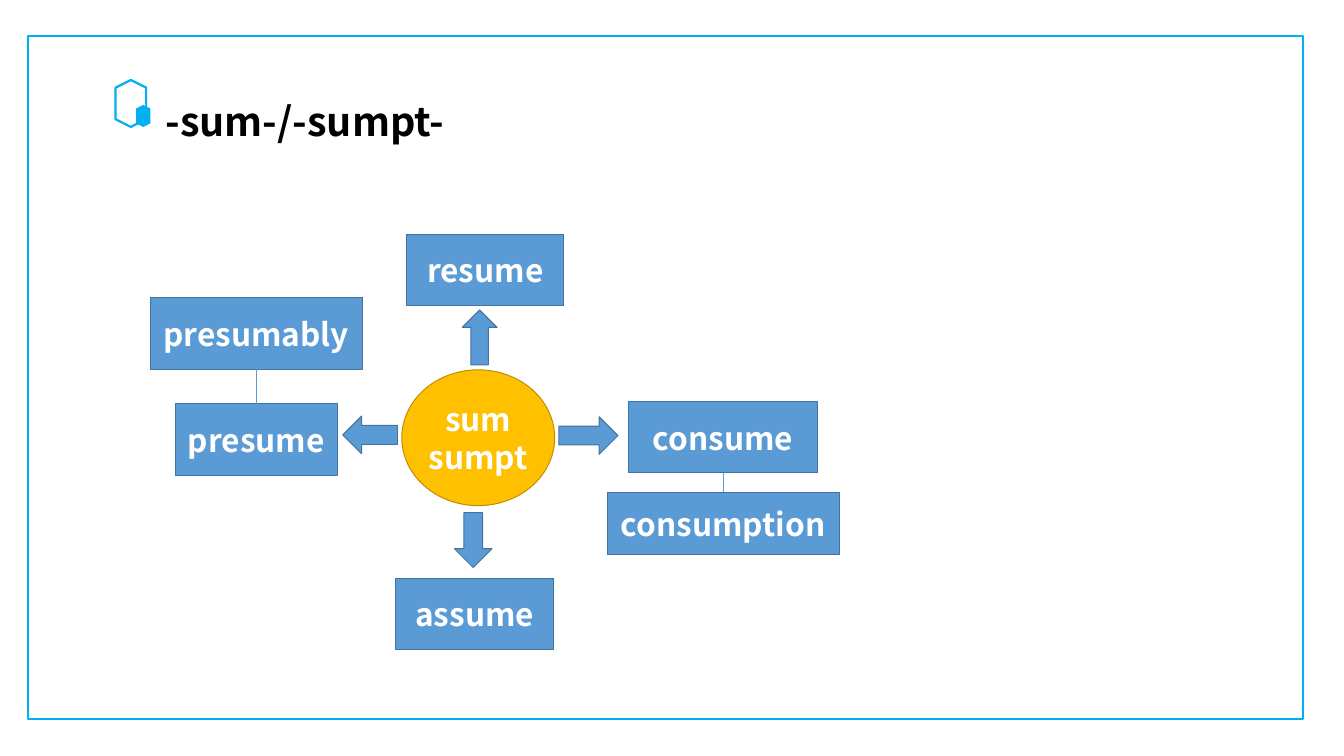
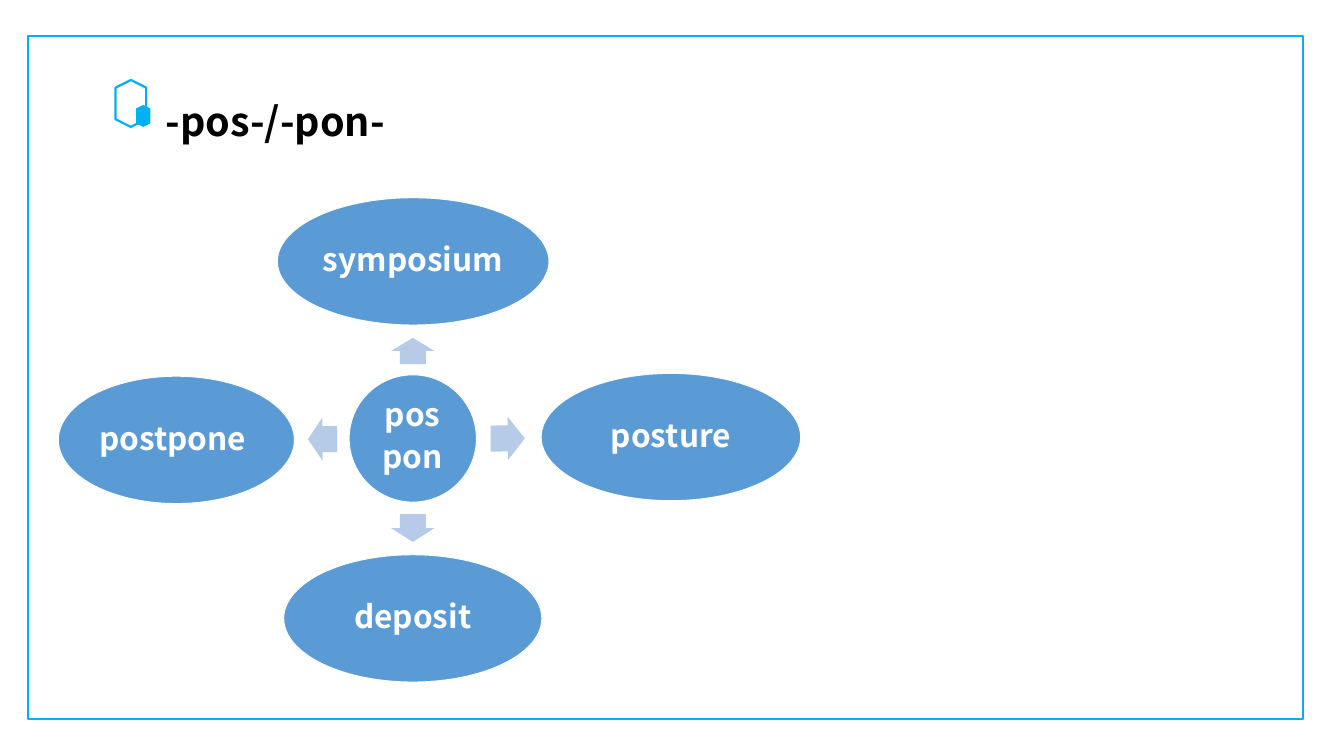
"""Build two word-root diagrams that share a frame, a badge and a title style."""
from lxml import etree
from pptx import Presentation
from pptx.dml.color import RGBColor
from pptx.enum.shapes import MSO_CONNECTOR, MSO_SHAPE
from pptx.enum.text import MSO_ANCHOR, PP_ALIGN
from pptx.oxml.ns import qn
from pptx.util import Inches, Pt

FONT = "Noto Sans CJK SC"
CYAN = RGBColor(0x00, 0xB0, 0xF0)
BLUE = RGBColor(0x5B, 0x9B, 0xD5)
BLUE_EDGE = RGBColor(0x43, 0x73, 0x9E)
PALE_BLUE = RGBColor(0xB5, 0xCB, 0xE7)
GOLD = RGBColor(0xFF, 0xC0, 0x00)
GOLD_EDGE = RGBColor(0xBD, 0x8E, 0x00)
WHITE = RGBColor(0xFF, 0xFF, 0xFF)
BLACK = RGBColor(0x00, 0x00, 0x00)

SUM_TITLE = "-sum-/-sumpt-"
SUM_ROOT = (["sum", "sumpt"], (5.65, 5.2, 2.15, 1.86))
SUM_WORDS = {
    "presume": (2.47, 5.68, 2.27, 1),
    "assume": (5.56, 8.13, 2.23, 1),
    "consume": (8.84, 5.65, 2.66, 1),
    "resume": (5.72, 3.3, 2.21, 1),
    "consumption": (8.54, 6.92, 3.26, 0.88),
    "presumably": (2.11, 4.19, 2.99, 1),
}
SUM_ARROWS = [
    (MSO_SHAPE.RIGHT_ARROW, (7.86, 5.86, 0.83, 0.53)),
    (MSO_SHAPE.DOWN_ARROW, (6.39, 7.21, 0.53, 0.77)),
    (MSO_SHAPE.LEFT_ARROW, (4.82, 5.85, 0.77, 0.53)),
    (MSO_SHAPE.UP_ARROW, (6.5, 4.36, 0.49, 0.77)),
]
SUM_FAMILIES = [("consume", "consumption"), ("presumably", "presume")]

POS_TITLE = "-pos-/-pon-"
POS_ROOT = (["pos", "pon"], (4.91, 5.27, 1.79, 1.79))
POS_WORDS = {
    "symposium ": (3.9, 2.78, 3.82, 1.79),
    "posture": (7.61, 5.25, 3.65, 1.79),
    "deposit": (3.99, 7.8, 3.63, 1.79),
    "postpone ": (0.82, 5.29, 3.32, 1.79),
}
POS_ARROWS = [
    (270, (5.62, 4.63, 0.37, 0.61)),
    (359.7, (6.9, 5.86, 0.48, 0.61)),
    (90, (5.61, 7.12, 0.39, 0.61)),
    (179.7, (4.33, 5.87, 0.41, 0.61)),
]


def write(shape, lines, size=32, color=WHITE, align=PP_ALIGN.CENTER,
          anchor=MSO_ANCHOR.MIDDLE, margins=(0.04, 0.04), wrap=True,
          spacing=None, after=None):
    """Write lines of bold text into a shape, one paragraph each."""
    frame = shape.text_frame
    frame.word_wrap = wrap
    frame.vertical_anchor = anchor
    frame.margin_left = frame.margin_right = Inches(margins[0])
    frame.margin_top = frame.margin_bottom = Inches(margins[1])
    frame.text = "\n".join(lines)
    for paragraph in frame.paragraphs:
        paragraph.alignment = align
        paragraph.line_spacing = spacing
        paragraph.space_before = Pt(0)
        paragraph.space_after = after
        font = paragraph.font
        font.name, font.size, font.bold = FONT, Pt(size), True
        font.color.rgb = color


def add_box(shapes, kind, box, fill=None, line=None, width=1, rotation=0):
    """Add a preset shape without shadow."""
    shape = shapes.add_shape(kind, *map(Inches, box))
    shape.shadow.inherit = False
    shape.rotation = rotation
    if fill is None:
        shape.fill.background()
    else:
        shape.fill.solid()
        shape.fill.fore_color.rgb = fill
    if line is None:
        shape.line.fill.background()
    else:
        shape.line.color.rgb = line
        shape.line.width = Pt(width)
    return shape


def join(shapes, upper, lower):
    """Link the bottom of one box to the top of another."""
    connector = shapes.add_connector(MSO_CONNECTOR.STRAIGHT, 0, 0, 0, 0)
    connector.begin_connect(upper, 2)
    connector.end_connect(lower, 0)
    connector.line.color.rgb = BLUE
    connector.line.width = Pt(0.5)
    etree.SubElement(connector.element.spPr, qn("a:effectLst"))


def add_titled_slide(presentation, layout, title_text):
    """Add a slide with the hexagon badge and its title."""
    slide = presentation.slides.add_slide(layout)
    badge = slide.shapes.add_group_shape().shapes
    add_box(badge, MSO_SHAPE.HEXAGON, (1.51, 1.24, 0.66, 0.43),
            line=CYAN, width=2.25, rotation=90)
    add_box(badge, MSO_SHAPE.HEXAGON, (1.86, 1.53, 0.31, 0.2),
            fill=CYAN, rotation=90)
    title = slide.shapes.title
    title.left, title.top, title.width, title.height = map(
        Inches, (2.23, 1.32, 4.41, 0.77))
    write(title, [title_text], size=40, color=BLACK, align=PP_ALIGN.LEFT,
          anchor=MSO_ANCHOR.TOP, margins=(0.1, 0.05), wrap=False)
    return slide


def add_frame(slide, layout):
    """Place the border on the layout that every slide uses."""
    frame = add_box(slide.shapes, MSO_SHAPE.RECTANGLE,
                    (0.39, 0.51, 17.93, 9.6), line=CYAN, width=2.25)
    layout.shapes.element.append(frame.element)


def draw_sum(slide):
    """Draw the boxes around sum and sumpt."""
    shapes = slide.shapes
    boxes = {}
    for word, box in SUM_WORDS.items():
        boxes[word] = add_box(shapes, MSO_SHAPE.RECTANGLE, box, BLUE, BLUE_EDGE)
        write(boxes[word], [word])
    for kind, box in SUM_ARROWS:
        add_box(shapes, kind, box, BLUE, BLUE_EDGE)
    lines, box = SUM_ROOT
    root = add_box(shapes, MSO_SHAPE.FLOWCHART_CONNECTOR,
                   box[:3] + (1.91,), GOLD, GOLD_EDGE)
    write(root, lines)
    for upper, lower in SUM_FAMILIES:
        join(shapes, boxes[upper], boxes[lower])


def draw_pos(slide):
    """Draw the ellipses around pos and pon."""
    shapes = slide.shapes
    lines, box = POS_ROOT
    root = add_box(shapes, MSO_SHAPE.OVAL, box, BLUE, WHITE)
    write(root, lines, spacing=0.8, after=Pt(11))
    for word, box in POS_WORDS.items():
        ellipse = add_box(shapes, MSO_SHAPE.OVAL, box, BLUE, WHITE)
        write(ellipse, [word], spacing=0.9, after=Pt(11))
    for rotation, box in POS_ARROWS:
        arrow = add_box(shapes, MSO_SHAPE.RIGHT_ARROW, box, PALE_BLUE,
                        rotation=rotation)
        arrow.adjustments[0] = 0.6
        arrow.adjustments[1] = 0.5


def main():
    """Build and save the presentation."""
    presentation = Presentation()
    presentation.slide_width = Inches(18.9)
    presentation.slide_height = Inches(10.63)
    layout = presentation.slide_layouts.get_by_name("Title Only")
    sum_slide = add_titled_slide(presentation, layout, SUM_TITLE)
    add_frame(sum_slide, layout)
    draw_sum(sum_slide)
    draw_pos(add_titled_slide(presentation, layout, POS_TITLE))
    presentation.save("out.pptx")


if __name__ == "__main__":
    main()
